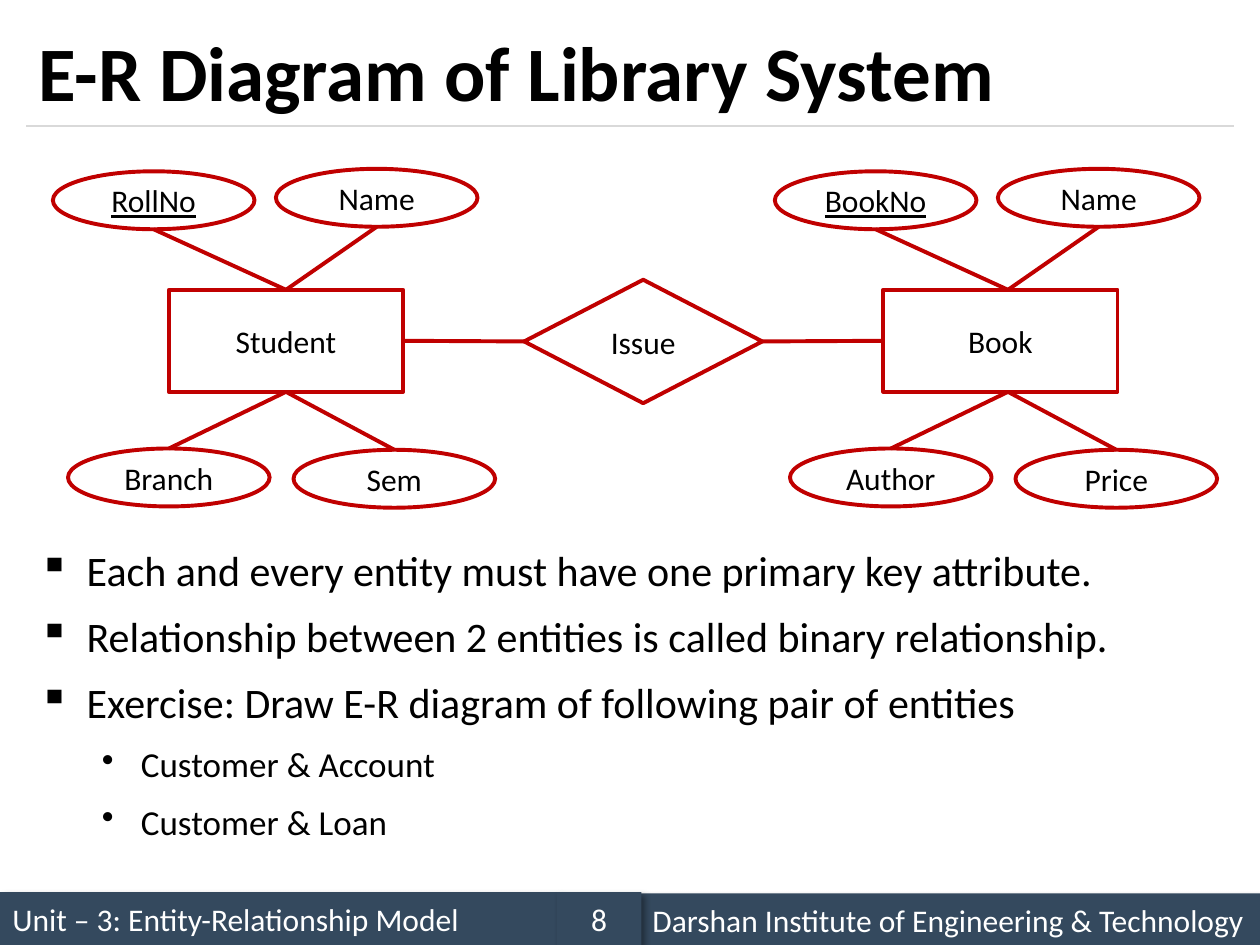
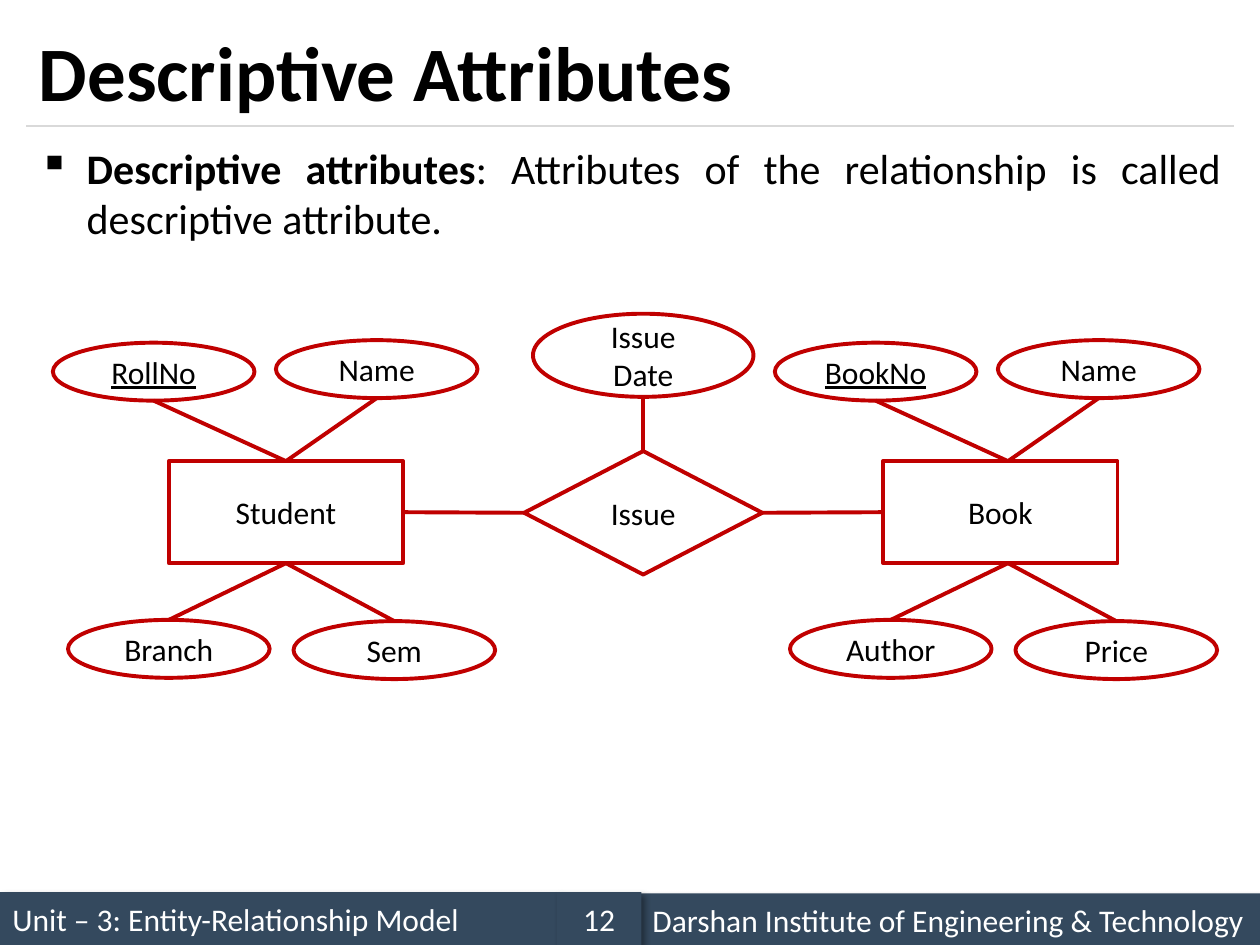
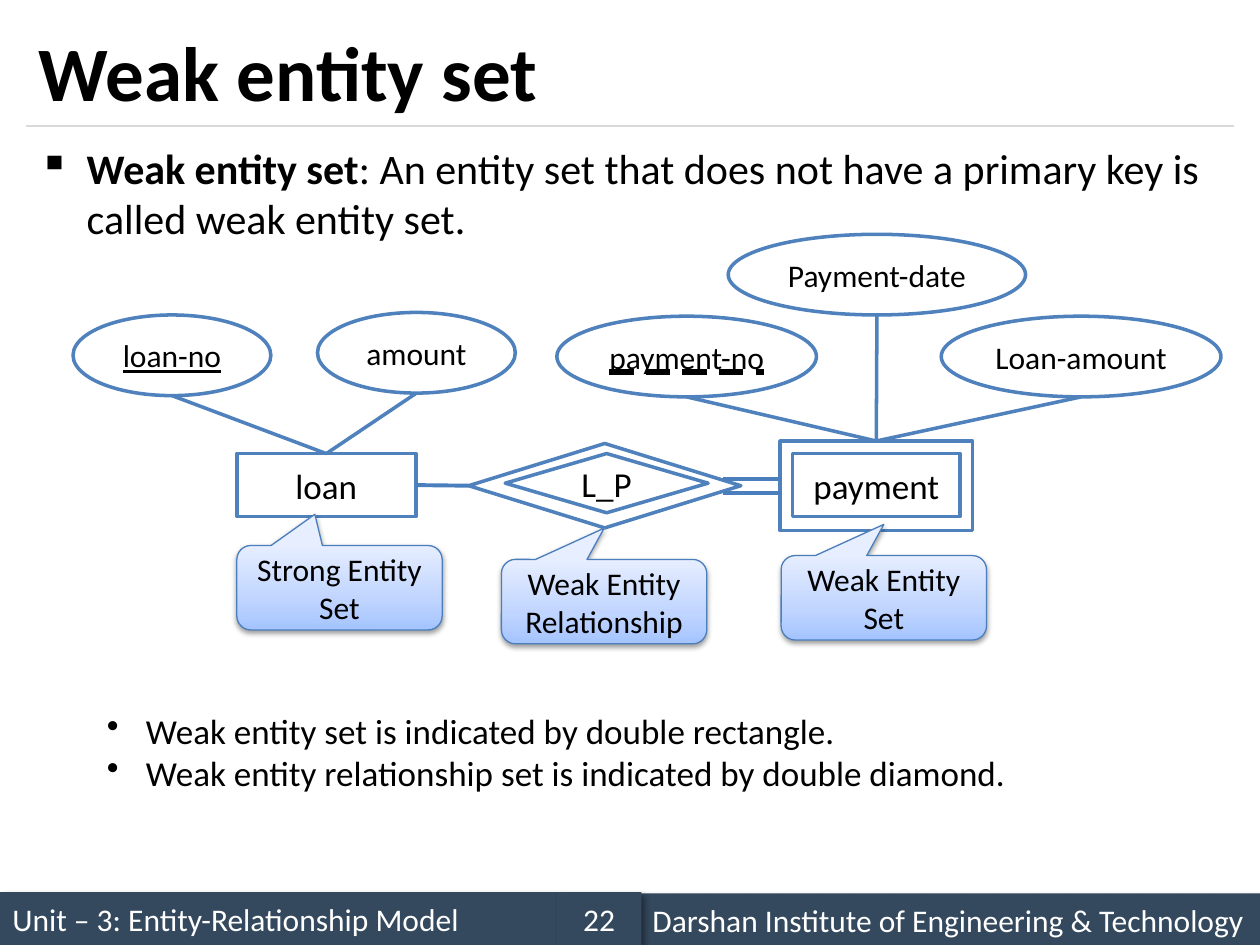
from pptx import Presentation
from pptx.dml.color import RGBColor
from pptx.enum.shapes import MSO_CONNECTOR, MSO_SHAPE
from pptx.enum.text import MSO_ANCHOR, MSO_UNDERLINE, PP_ALIGN
from pptx.oxml import parse_xml
from pptx.oxml.ns import nsdecls, qn
from pptx.util import Inches, Pt
from lxml import etree

FONT = "Calibri"
BLACK, WHITE, NAVY, GREY = "000000", "FFFFFF", "34495E", "D9D9D9"
RED, BLUE, STEEL = "C00000", "4F81BD", "4B7EBC"
rgb = RGBColor.from_string


def box(slide, kind, at, text="", fill=None, edge=None, width=2.25,
        size=18, ink=BLACK, align=PP_ALIGN.CENTER, shade=None):
    """Add a shape; shade is (alpha %, blur pt, distance pt, angle)."""
    shape = slide.shapes.add_shape(kind, *map(Inches, at))
    shape.shadow.inherit = False
    if fill:
        shape.fill.solid()
        shape.fill.fore_color.rgb = rgb(fill)
    else:
        shape.fill.background()
    if edge:
        shape.line.color.rgb = rgb(edge)
        shape.line.width = Pt(width)
    else:
        shape.line.fill.background()
    if shade:
        alpha, blur, dist, angle = shade
        shape._element.spPr.find(qn("a:effectLst")).append(parse_xml(
            f'<a:outerShdw {nsdecls("a")} blurRad="{Pt(blur)}" dist="{Pt(dist)}" '
            f'dir="{angle * 60000}" rotWithShape="0"><a:srgbClr val="{BLACK}">'
            f'<a:alpha val="{alpha * 1000}"/></a:srgbClr></a:outerShdw>'))
    frame = shape.text_frame
    frame.vertical_anchor = MSO_ANCHOR.MIDDLE
    frame.text = text
    para = frame.paragraphs[0]
    para.alignment = align
    para.font.name, para.font.size = FONT, Pt(size)
    para.font.color.rgb = rgb(ink)
    return shape


def line(slide, start, end, color, width=2.25):
    link = slide.shapes.add_connector(
        MSO_CONNECTOR.STRAIGHT, *map(Inches, (*start, *end)))
    link.line.color.rgb = rgb(color)
    link.line.width = Pt(width)
    etree.SubElement(link._element.spPr, qn("a:effectLst"))
    return link


deck = Presentation()
deck.slide_width, deck.slide_height = Inches(10), Inches(7.5)

# Title, rule and footer bands of every slide
slides = []
for title, page in (("E-R Diagram of Library System", "8"),
                    ("Descriptive Attributes", "12"),
                    ("Weak entity set", "22")):
    slide = deck.slides.add_slide(deck.slide_layouts[6])
    slides.append(slide)
    line(slide, (0.21, 1), (9.79, 1), GREY, 0.75)
    for at, text, align in (
            ((0, 7.08, 4.42, 0.42), "Unit – 3: Entity-Relationship Model", PP_ALIGN.LEFT),
            ((5.08, 7.09, 4.92, 0.42), "Darshan Institute of Engineering & Technology",
             PP_ALIGN.LEFT),
            ((4.42, 7.08, 0.67, 0.42), page, PP_ALIGN.CENTER)):
        box(slide, MSO_SHAPE.RECTANGLE, at, text, NAVY, ink=WHITE, align=align,
            shade=(40, 4, 3, 45))
    head = slide.shapes.add_textbox(*map(Inches, (0.21, 0.12, 9.58, 0.88)))
    head.text_frame.word_wrap = True
    head.text_frame.vertical_anchor = MSO_ANCHOR.MIDDLE
    head.text_frame.text = title
    font = head.text_frame.paragraphs[0].font
    font.name, font.size, font.bold = FONT, Pt(44), True
    font.color.rgb = rgb(BLACK)
first, second, third = slides

# Bulleted text: each item is (style, bold lead, rest)
styles = {"main": ("▪", 0.38, 0.38, 24, 9),
          "sub": ("•", 0.81, 0.31, 20, 9),
          "note": ("•", 0.31, 0.31, 20, 0)}
for slide, at, align, items in (
        (first, (0.21, 4.27, 9.58, 2.64), PP_ALIGN.LEFT, (
            ("main", "", "Each and every entity must have one primary key attribute."),
            ("main", "", "Relationship between 2 entities is called binary relationship."),
            ("main", "", "Exercise: Draw E-R diagram of following pair of entities"),
            ("sub", "", "Customer & Account"),
            ("sub", "", "Customer & Loan"))),
        (second, (0.21, 1.08, 9.58, 1), PP_ALIGN.JUSTIFY, (
            ("main", "Descriptive attributes",
             ": Attributes of the relationship is called descriptive attribute."),)),
        (third, (0.21, 1.08, 9.58, 1), PP_ALIGN.LEFT, (
            ("main", "Weak entity set",
             ": An entity set that does not have a primary key is called weak entity set."),)),
        (third, (0.75, 5.58, 7.39, 0.77), PP_ALIGN.LEFT, (
            ("note", "", "Weak entity set is indicated by double rectangle."),
            ("note", "", "Weak entity relationship set is indicated by double diamond.")))):
    frame = slide.shapes.add_textbox(*map(Inches, at)).text_frame
    frame.word_wrap = True
    for i, (style, lead, rest) in enumerate(items):
        mark, left, hang, size, space = styles[style]
        para = frame.add_paragraph() if i else frame.paragraphs[0]
        props = para._p.get_or_add_pPr()
        props.set("marL", str(Inches(left)))
        props.set("indent", str(-Inches(hang)))
        etree.SubElement(props, qn("a:buChar")).set("char", mark)
        para.alignment = align
        para.space_before = Pt(space if i else 0)
        para.level = 1 if style == "sub" else 0
        for text, bold in ((lead, True), (rest, False)):
            if text:
                run = para.add_run()
                run.text = text
                run.font.name, run.font.size, run.font.bold = FONT, Pt(size), bold
                run.font.color.rgb = rgb(BLACK)

# Library diagram, the same on two slides but lower on the second
spots = ((0.42, 1.36), (2.19, 1.34), (0.54, 3.56), (2.33, 3.57))
for slide, drop in ((first, 0), (second, 1.36)):
    issue = box(slide, MSO_SHAPE.DIAMOND, (4.16, 2.22 + drop, 1.89, 0.98), "Issue", edge=RED)
    for name, left, shift, port, names in (
            ("Student", 1.34, 0, 3, ("RollNo", "Name", "Branch", "Sem")),
            ("Book", 7.01, 5.73, 1, ("BookNo", "Name", "Author", "Price"))):
        entity = box(slide, MSO_SHAPE.RECTANGLE, (left, 2.3 + drop, 1.86, 0.81),
                     name, edge=RED)
        link = line(slide, (4, 2.7 + drop), (5, 2.7 + drop), RED)
        link.begin_connect(entity, port)
        link.end_connect(issue, 4 - port)
        for i, (text, (x, y)) in enumerate(zip(names, spots)):
            x, y, above = x + shift, y + drop, i < 2
            oval = box(slide, MSO_SHAPE.OVAL, (x, y, 1.6, 0.46), text, edge=RED)
            oval.text_frame.paragraphs[0].font.underline = i == 0
            link = line(slide, (x + 0.8, y + 0.46 if above else y),
                        (2.27 + shift, (2.3 if above else 3.11) + drop), RED)
            if name == "Student":
                link.end_connect(entity, 0 if above else 2)

# Descriptive attribute of the relationship
line(second, (5.1, 3.16), (5.1, 3.58), RED)
date = box(second, MSO_SHAPE.OVAL, (4.23, 2.49, 1.75, 0.66), "Issue Date", edge=RED)
date.text_frame.margin_left = date.text_frame.margin_right = Inches(0.2)

# Weak entity diagram: entities and relationship
shapes = {}
for key, kind, at, text in (
        ("weak", MSO_SHAPE.RECTANGLE, (6.19, 3.5, 1.53, 0.71), ""),
        ("loan", MSO_SHAPE.RECTANGLE, (1.88, 3.6, 1.42, 0.5), "loan"),
        ("inner", MSO_SHAPE.RECTANGLE, (6.29, 3.6, 1.33, 0.5), "payment"),
        ("outer", MSO_SHAPE.DIAMOND, (3.72, 3.52, 2.16, 0.67), ""),
        ("core", MSO_SHAPE.DIAMOND, (4.01, 3.6, 1.61, 0.47), "L_P")):
    shapes[key] = box(third, kind, at, text, WHITE, BLUE, 2, 20)
link = line(third, (3.29, 3.85), (3.72, 3.85), STEEL)
link.begin_connect(shapes["loan"], 3)
link.end_connect(shapes["outer"], 1)
for y in (3.8, 3.91):
    line(third, (5.74, y), (6.21, y), STEEL)

# Weak entity diagram: attributes
for text, x, y, width, owner, under in (
        ("loan-no", 0.58, 2.5, 1.57, "loan", True),
        ("amount", 2.52, 2.48, 1.57, "loan", False),
        ("payment-no", 4.42, 2.51, 2.06, "weak", MSO_UNDERLINE.DASH_HEAVY_LINE),
        ("Payment-date", 5.78, 1.86, 2.36, "weak", False),
        ("Loan-amount", 7.47, 2.51, 2.22, "weak", False)):
    link = line(third, (x + width / 2, y + 0.64), (5, 3.5), BLUE, 2)
    link.end_connect(shapes[owner], 0)
    oval = box(third, MSO_SHAPE.OVAL, (x, y, width, 0.64), text, WHITE, BLUE, 2)
    oval.text_frame.word_wrap = False
    oval.text_frame.paragraphs[0].font.underline = under

# Callouts with a gradient fill
for text, x, y, tip in (("Strong Entity Set", 1.88, 4.33, -0.12),
                        ("Weak Entity Set", 6.2, 4.41, 0),
                        ("Weak Entity Relationship", 3.98, 4.44, 0)):
    note = box(third, MSO_SHAPE.ROUNDED_RECTANGULAR_CALLOUT, (x, y, 1.63, 0.67), text,
               edge=STEEL, width=0.75, shade=(38, 3.1, 1.6, 90))
    note.adjustments[0], note.adjustments[1] = tip, -0.87
    note.fill.gradient()
    note.fill.gradient_angle = 90
    stops = note._element.spPr.find(".//" + qn("a:gsLst"))
    stops.clear()
    for place, color in ((0, "A4C4FF"), (35, "BFD4FF"), (100, "E6EEFF")):
        stop = etree.SubElement(stops, qn("a:gs"), pos=str(place * 1000))
        etree.SubElement(stop, qn("a:srgbClr"), val=color)

deck.save("out.pptx")
